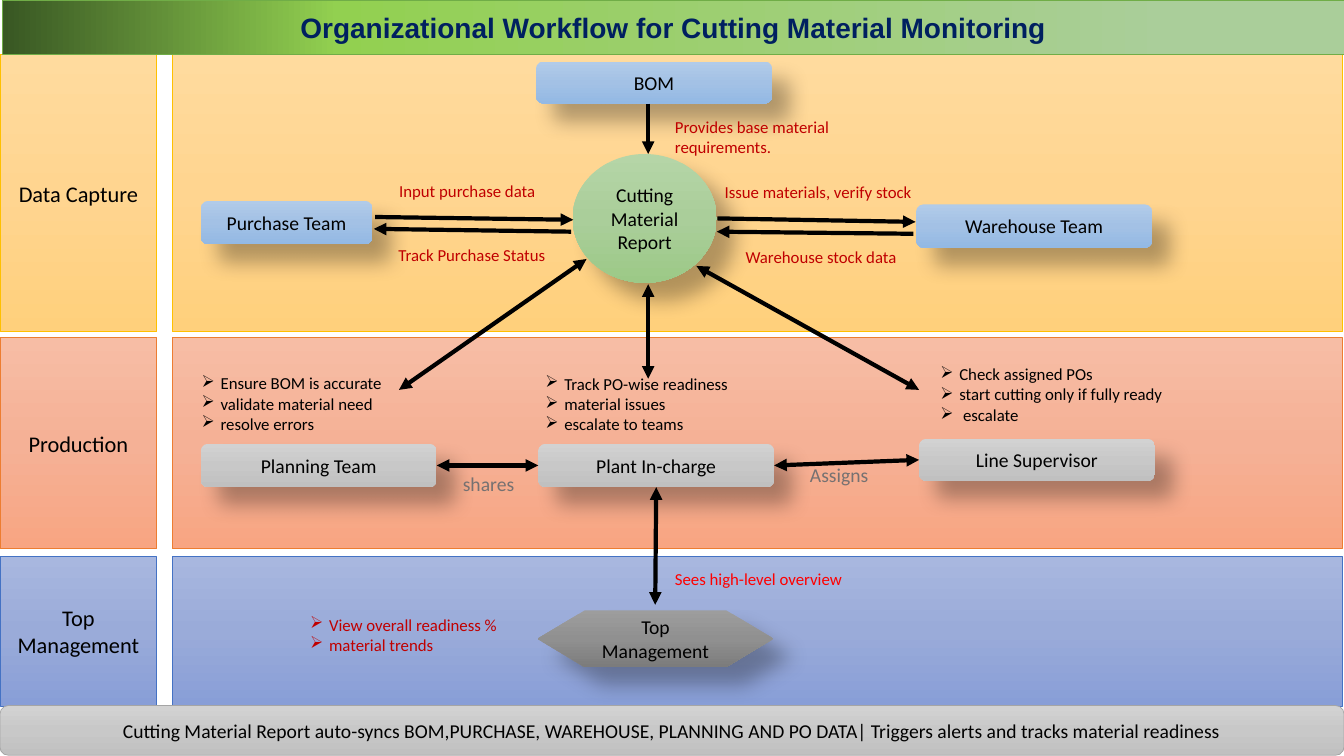
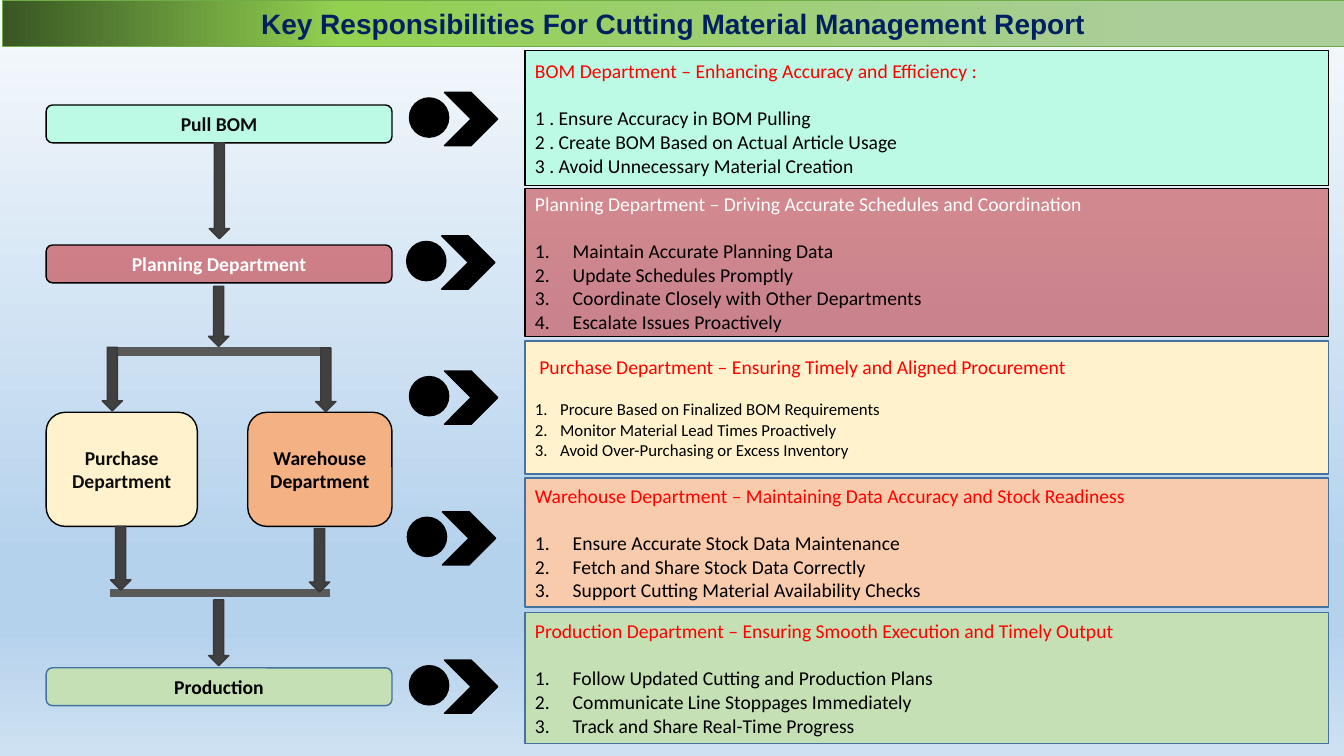
from lxml.etree import SubElement
from pptx import Presentation
from pptx.dml.color import RGBColor
from pptx.enum.shapes import MSO_CONNECTOR, MSO_SHAPE
from pptx.enum.text import MSO_ANCHOR, PP_ALIGN
from pptx.oxml.ns import qn
from pptx.util import Pt

RECT = MSO_SHAPE.RECTANGLE
ROUND = MSO_SHAPE.ROUNDED_RECTANGLE
OVAL = MSO_SHAPE.OVAL
CHEVRON = MSO_SHAPE.CHEVRON
DOWN = MSO_SHAPE.DOWN_ARROW
HEX = MSO_SHAPE.FLOWCHART_PREPARATION
STRAIGHT = MSO_CONNECTOR.STRAIGHT
CENTER = PP_ALIGN.CENTER
LEFT = PP_ALIGN.LEFT
MIDDLE = MSO_ANCHOR.MIDDLE

BLACK, WHITE, RED, CRIMSON = "000000", "FFFFFF", "FF0000", "C00000"
MUTED, NAVY, STEEL = "767171", "002060", "43739E"
MINT, CREAM, LEAF = "BCFAE5", "FFF2CC", "C5E0B4"
AMBER = (270, [(0, "FFDB9E"), (50, "FFD590"), (100, "FFD07C")])
CORAL = (270, [(0, "F7BDA5"), (50, "F5B196"), (100, "F8A582")])
INDIGO = (270, [(0, "A8B7DF"), (50, "9AABD9"), (100, "889ED7")])
GREEN = (270, [(0, "B5D5A7"), (50, "AACE9A"), (100, "9CC987")])
BLUE = (270, [(0, "B1CBE9"), (50, "A3C1E5"), (100, "93B9E4")])
SILVER = (270, [(0, "D2D2D2"), (50, "C8C8C8"), (100, "C0C0C0")])
GREY = (270, [(0, "9D9D9D"), (50, "909090"), (100, "7C7C7C")])
BAND = (180, [(13, "AACE9A"), (75, "92D050"), (100, "385723")])
SKY = (270, [(0, "F7FAFD"), (74, "B5D2EC"), (83, "B5D2EC"), (100, "CEE1F2")])
TITLE = {"tone": NAVY, "name": "Arial", "size": Pt(20), "bold": True}
DART = (13.5, "buChar", {"char": "➢"})
COUNT = (27, "buAutoNum", {"type": "arabicPeriod"})
TIGHT = (18, "buAutoNum", {"type": "arabicPeriod"})


def paint(fill, node, look):
    if isinstance(look, str):
        hue, _, veil = look.partition("/")
        fill.solid()
        fill.fore_color.rgb = RGBColor.from_string(hue)
        if veil:
            color = next(node.iter(qn("a:srgbClr")))
            SubElement(color, qn("a:alpha"), val=str(int(veil) * 1000))
        return
    angle, stops = look
    fill.gradient()
    fill.gradient_angle = angle
    ramp = next(node.iter(qn("a:gsLst")))
    ramp.clear()
    for pos, hue in stops:
        stop = SubElement(ramp, qn("a:gs"), pos=str(pos * 1000))
        SubElement(stop, qn("a:srgbClr"), val=hue)


def write(frame, rows, tone=BLACK, head=None, mark=None, align=LEFT, **look):
    frame.word_wrap = True
    font = {"name": "Calibri", "size": Pt(14)} | look
    for i, text in enumerate(rows):
        para = frame.paragraphs[0] if i == 0 else frame.add_paragraph()
        para.alignment = align
        top = head and i == 0
        if mark and not top:
            dent, tag, attrs = mark
            props = para._p.get_or_add_pPr()
            props.set("marL", str(Pt(dent)))
            props.set("indent", str(-Pt(dent)))
            SubElement(props, qn("a:" + tag), attrs)
        if head and i == 1:
            para.space_before = Pt(round(font["size"].pt * 1.22, 1))
        run = para.add_run()
        run.text = text
        for key, value in font.items():
            setattr(run.font, key, value)
        if top:
            run.font.size = Pt(14)
        run.font.color.rgb = RGBColor.from_string(head if top else tone)


deck = Presentation()
deck.slide_width, deck.slide_height = Pt(960), Pt(540)
flow, duty = [deck.slides.add_slide(deck.slide_layouts[6]) for _ in range(2)]
paint(duty.background.fill, duty.element, SKY)

items = []
lanes = [
    (39, 198, AMBER, "FFC000", ["Data Capture"]),
    (241, 151, CORAL, "ED7D31", ["Production"]),
    (397.5, 107, INDIGO, "4472C4", ["Top", "Management"]),
]
for top, high, fill, edge, rows in lanes:
    items.append((flow, RECT, (0, top, 112, high), fill, (edge, 0.5), rows, {"size": Pt(16)}))
    items.append((flow, RECT, (123, top, 835.5, high), fill, (edge, 0.5), [], {}))

nodes = [
    (OVAL, (409, 110, 103, 92), GREEN, "Cutting Material Report"),
    (ROUND, (143.5, 143.5, 122.5, 31), BLUE, "Purchase Team"),
    (ROUND, (654.5, 146, 168.5, 31), BLUE, "Warehouse Team"),
    (ROUND, (383, 44, 168.5, 30), BLUE, "BOM"),
    (ROUND, (143.5, 317, 168.5, 31), SILVER, "Planning Team"),
    (ROUND, (384.5, 317, 168.5, 31), SILVER, "Plant In-charge"),
    (ROUND, (656.5, 313.5, 168.5, 30), SILVER, "Line Supervisor"),
    (HEX, (384, 436, 168.5, 40.5), GREY, "Top Management"),
]
for kind, at, fill, text in nodes:
    items.append((flow, kind, at, fill, None, [text], {}))
items.append((flow, ROUND, (0, 504, 960, 35.5), SILVER, ("A5A5A5", 0.5), [
    "Cutting Material Report auto-syncs BOM,PURCHASE, WAREHOUSE, PLANNING AND PO DATA"
    "| Triggers alerts and tracks material readiness"], {}))

titles = [
    (flow, 39, "Organizational Workflow for Cutting Material Monitoring"),
    (duty, 33.5, "Key Responsibilities For Cutting Material Management Report"),
]
for page, high, text in titles:
    items.append((page, RECT, (2, 0, 958, high), BAND, ("70AD47", 0.5), [text], TITLE))

steps = [
    ((33, 75, 247, 27), MINT, BLACK, "Pull BOM", "0D0D0D"),
    ((33, 175, 247, 27), "C00000/45", BLACK, "Planning Department", WHITE),
    ((33, 294.5, 108, 81.5), CREAM, BLACK, "Purchase Department", "0D0D0D"),
    ((177, 294.5, 103, 81.5), "F4B183", BLACK, "Warehouse Department", BLACK),
    ((33, 477, 247, 27), LEAF, STEEL, "Production", BLACK),
]
for at, fill, edge, text, tone in steps:
    items.append((duty, ROUND, at, fill, (edge, 1), [text], {"tone": tone, "bold": True}))

for top in (248.5, 421):
    items.append((duty, RECT, (79, top, 156.5, 5), "595959", ("595959", 1), [], {}))
drops = [
    (149.5, 102, 68.5), (149, 204.5, 43), (79, 376, 45.5), (149, 428.5, 47),
    (221, 377.5, 45.5), (73, 248, 45.5), (225.5, 248.5, 45.5),
]
for left, top, high in drops:
    items.append((duty, DOWN, (left, top, 14.5, high), "404040", ("3B3838", 1), [], {}))
for left, top in [(317.5, 66), (315.5, 168.5), (317.5, 265), (316, 365.5), (317.5, 471.5)]:
    items.append((duty, OVAL, (left - 25, top + 4, 28, 28), BLACK, (BLACK, 1), [], {}))
    items.append((duty, CHEVRON, (left, top, 38, 38), BLACK, (BLACK, 1), [], {}))

panels = [
    (36, 96.5, MINT, BLACK, RED, None, 14, [
        "BOM Department – Enhancing Accuracy and Efficiency :",
        "1 . Ensure Accuracy in BOM Pulling",
        "2 . Create BOM Based on Actual Article Usage",
        "3 . Avoid Unnecessary Material Creation"]),
    (134.5, 106, "C00000/42", BLACK, WHITE, COUNT, 14, [
        "Planning Department – Driving Accurate Schedules and Coordination",
        "Maintain Accurate Planning Data",
        "Update Schedules Promptly",
        "Coordinate Closely with Other Departments",
        "Escalate Issues Proactively"]),
    (243.5, 95, CREAM, STEEL, RED, TIGHT, 12, [
        " Purchase Department – Ensuring Timely and Aligned Procurement",
        "Procure Based on Finalized BOM Requirements",
        "Monitor Material Lead Times Proactively",
        "Avoid Over-Purchasing or Excess Inventory"]),
    (341.5, 92, "F8CBAD", STEEL, RED, COUNT, 14, [
        "Warehouse Department – Maintaining Data Accuracy and Stock Readiness",
        "Ensure Accurate Stock Data Maintenance",
        "Fetch and Share Stock Data Correctly",
        "Support Cutting Material Availability Checks"]),
    (437.5, 93.5, LEAF, STEEL, RED, COUNT, 14, [
        "Production Department – Ensuring Smooth Execution and Timely Output",
        "Follow Updated Cutting and Production Plans",
        "Communicate Line Stoppages Immediately",
        "Track and Share Real-Time Progress"]),
]
for top, high, fill, edge, head, mark, size, rows in panels:
    style = {"head": head, "mark": mark, "size": Pt(size), "align": LEFT}
    items.append((duty, RECT, (375, top, 574, high), fill, (edge, 1), rows, style))

made = {}
for page, kind, at, fill, edge, rows, style in items:
    item = page.shapes.add_shape(kind, *map(Pt, at))
    item.shadow.inherit = False
    paint(item.fill, item.element, fill)
    if edge:
        item.line.color.rgb = RGBColor.from_string(edge[0])
        item.line.width = Pt(edge[1])
    else:
        item.line.fill.background()
        glow = SubElement(next(item.element.iter(qn("a:effectLst"))), qn("a:outerShdw"), {
            "blurRad": str(Pt(15)), "dist": str(Pt(18)), "dir": "2700000", "rotWithShape": "0"})
        tint = SubElement(glow, qn("a:srgbClr"), val=BLACK)
        SubElement(tint, qn("a:alpha"), val="30000")
    if rows:
        item.text_frame.vertical_anchor = MIDDLE
        write(item.text_frame, rows, **({"align": CENTER} | style))
        made[rows[0]] = item

links = [
    ((463, 203), (463, 270.5), True, None, None),
    ((467.5, 349), (468, 432), True, ("Plant In-charge", 2), None),
    ((419, 185), (285, 278.5), True, None, None),
    ((497.5, 190), (656.5, 278.5), True, None, None),
    ((557, 329), (654.5, 328.5), True, ("Plant In-charge", 3), ("Line Supervisor", 1)),
    ((314, 332), (383, 332), True, ("Planning Team", 3), ("Plant In-charge", 1)),
    ((463, 74), (463, 110), False, None, None),
    ((268, 155), (409.5, 157), False, None, None),
    ((408, 165.5), (267, 163.5), False, None, None),
    ((512.5, 156), (654, 158.5), False, None, None),
    ((652.5, 167), (512, 165.5), False, None, None),
]
for start, stop, both, first, last in links:
    link = flow.shapes.add_connector(STRAIGHT, *map(Pt, start + stop))
    if first:
        link.begin_connect(made[first[0]], first[1])
    if last:
        link.end_connect(made[last[0]], last[1])
    link.line.color.rgb = RGBColor.from_string(BLACK)
    link.line.width = Pt(3)
    edge = next(link.element.iter(qn("a:ln")))
    for end in ["headEnd", "tailEnd"] if both else ["tailEnd"]:
        SubElement(edge, qn("a:" + end), type="triangle")
    SubElement(edge.getparent(), qn("a:effectLst"))

notes = [
    ((510.5, 126.5, 160, 21.5), CRIMSON, 12, None, ["Issue materials, verify stock"]),
    ((277.5, 171.5, 128, 21.5), CRIMSON, 12, None, ["Track Purchase Status"]),
    ((214.5, 435.5, 163, 36), CRIMSON, 12, DART, ["View overall readiness %", "material trends"]),
    ((475, 402.5, 206, 21.5), RED, 12, None, ["Sees high-level overview"]),
    ((475, 80, 137, 36), CRIMSON, 12, None, ["Provides base material requirements."]),
    ((278, 125.5, 120, 21.5), CRIMSON, 12, None, ["Input purchase data"]),
    ((525.5, 173, 132, 21.5), CRIMSON, 12, None, ["Warehouse stock data"]),
    ((571.5, 327, 66, 24.5), MUTED, 14, None, ["Assigns"]),
    ((323.5, 333.5, 60, 24.5), MUTED, 14, None, ["shares"]),
    ((382.5, 263.5, 217.5, 51), BLACK, 12, DART,
     ["Track PO-wise readiness", "material issues", "escalate to teams"]),
    ((137, 263, 148.5, 51), BLACK, 12, DART,
     ["Ensure BOM is accurate", "validate material need", "resolve errors"]),
]
for at, tone, size, mark, rows in notes:
    note = flow.shapes.add_textbox(*map(Pt, at))
    write(note.text_frame, rows, tone, mark=mark, size=Pt(size))

grid = flow.shapes.add_table(1, 1, Pt(664.5), Pt(248.5), Pt(241), Pt(67.5))
next(grid.element.iter(qn("a:tableStyleId"))).text = "{2D5ABB26-0587-4C30-8999-92F81FD0307C}"
grid.table.first_row = grid.table.horz_banding = False
cell = grid.table.cell(0, 0)
cell.fill.background()
cell.vertical_anchor = MIDDLE
write(cell.text_frame, ["Check assigned POs", "start cutting only if fully ready", " escalate"],
      mark=DART, size=Pt(12))

deck.save("out.pptx")
